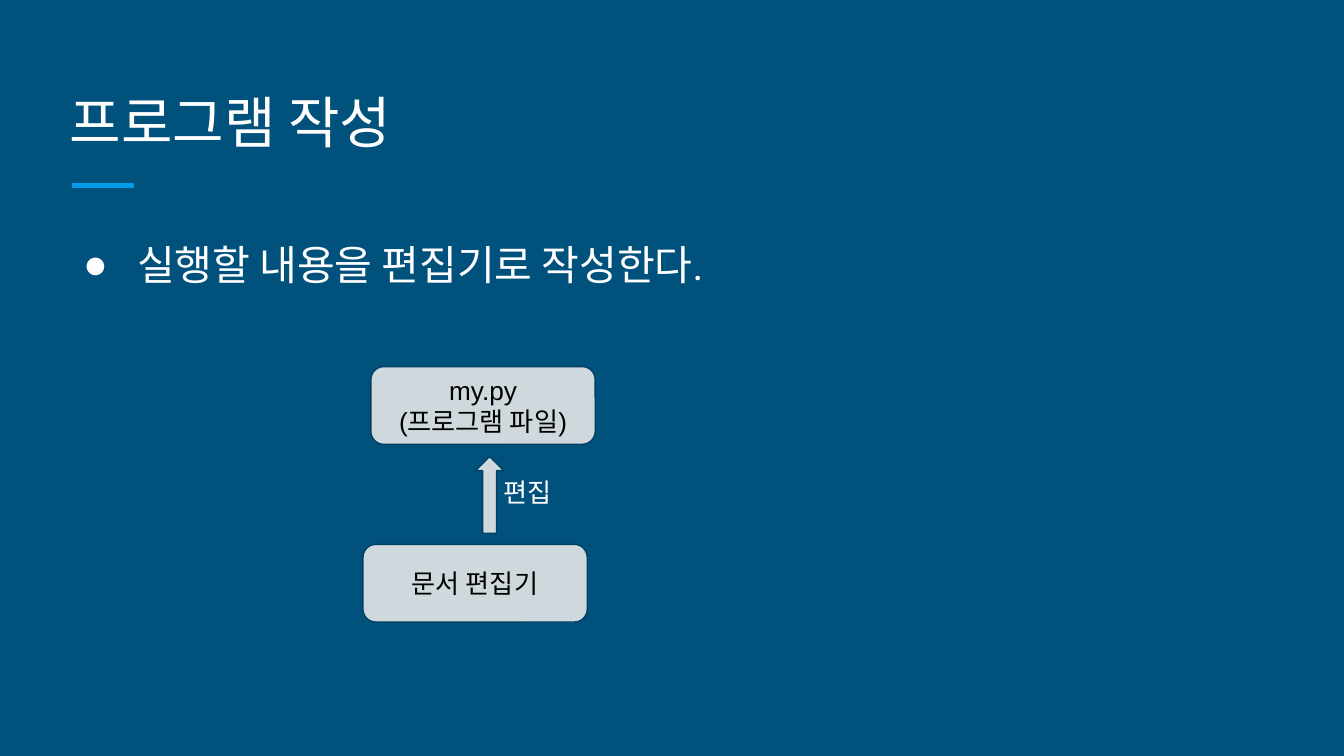
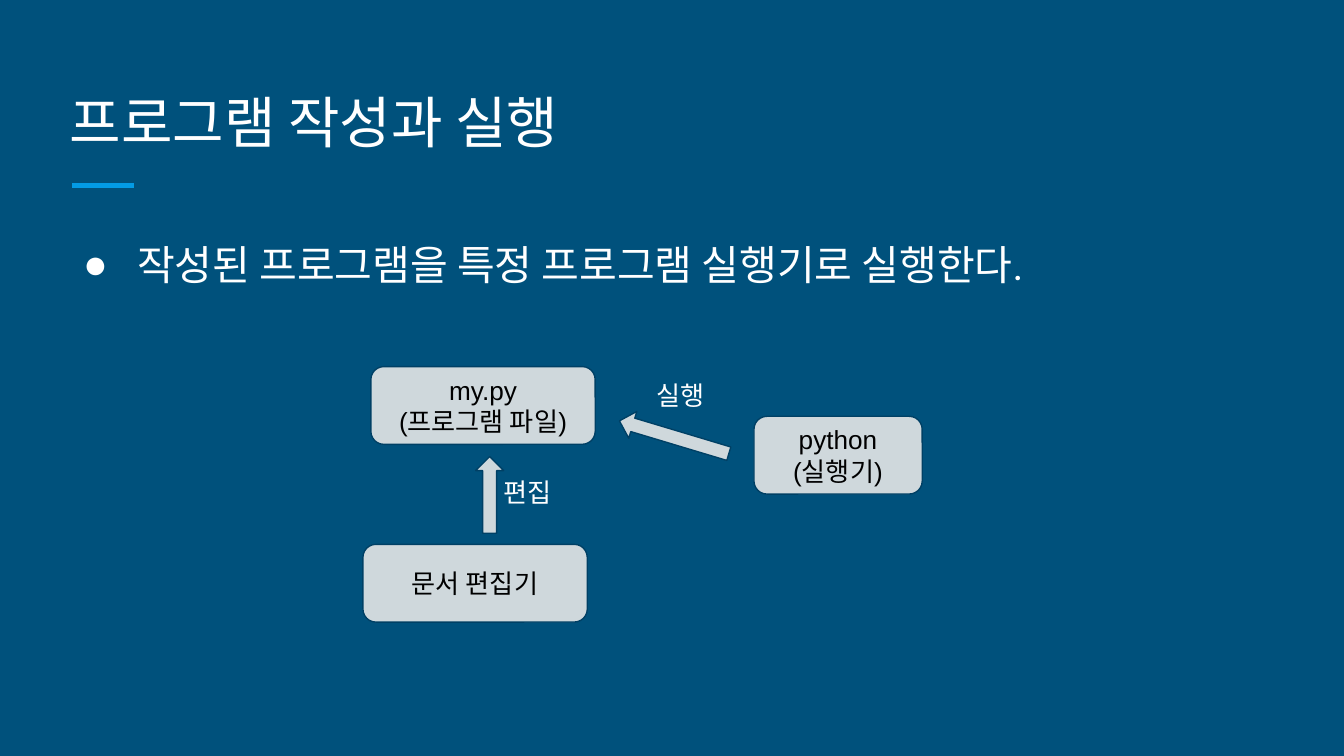
from lxml import etree
from pptx import Presentation
from pptx.dml.color import RGBColor
from pptx.enum.shapes import MSO_CONNECTOR, MSO_SHAPE
from pptx.enum.text import MSO_ANCHOR, MSO_AUTO_SIZE, PP_ALIGN
from pptx.oxml.ns import qn
from pptx.util import Cm, Pt

LINE = MSO_CONNECTOR.STRAIGHT
ROUND, ARROW = MSO_SHAPE.ROUNDED_RECTANGLE, MSO_SHAPE.RIGHT_ARROW
TOP, MIDDLE, BOTTOM = MSO_ANCHOR.TOP, MSO_ANCHOR.MIDDLE, MSO_ANCHOR.BOTTOM
LEFT, CENTER = PP_ALIGN.LEFT, PP_ALIGN.CENTER
FIXED = MSO_AUTO_SIZE.NONE

NAVY, BLUE, WHITE = "00517C", "039BE5", "FFFFFF"
GRAY, EDGE, BLACK = "CFD8DC", "004065", "000000"
HEAD, BODY, PLAIN = "Roboto Slab", "Roboto", "Arial"


def color(code):
    return RGBColor.from_string(code)


class Deck:
    def __init__(self):
        self.prs = Presentation()
        self.prs.slide_width, self.prs.slide_height = Cm(25.4), Cm(14.29)
        fill = self.prs.slide_master.background.fill
        fill.solid()
        fill.fore_color.rgb = color(NAVY)
        self.slide = None

    def words(self, shape, text, size, font, ink, anchor=TOP, align=CENTER):
        frame = shape.text_frame
        frame.text = text
        frame.word_wrap = True
        frame.auto_size = FIXED
        frame.vertical_anchor = anchor
        frame.margin_left = frame.margin_right = Cm(0.25)
        frame.margin_top = frame.margin_bottom = Cm(0.25)
        for para in frame.paragraphs:
            para.alignment = align
            para.font.size = Pt(size)
            para.font.name = font
            para.font.color.rgb = color(ink)
        return frame

    def place(self, shape, left, top, width, height):
        shape.left, shape.top = Cm(left), Cm(top)
        shape.width, shape.height = Cm(width), Cm(height)

    def page(self, title, point):
        """Start a slide with its title, accent line and bullet."""
        self.slide = self.prs.slides.add_slide(self.prs.slide_layouts[1])
        self.rule(1.37, 2.54, 3.51)
        head, body = self.slide.placeholders
        self.place(head, 1.07, 1.27, 23.24, 1.91)
        self.words(head, title, 30, HEAD, WHITE, BOTTOM, LEFT)
        self.place(body, 1.07, 4.14, 23.24, 8.56)
        frame = self.words(body, point, 22, BODY, WHITE, TOP, LEFT)
        for para in frame.paragraphs:
            para.line_spacing = 1.15
            para.space_before = Pt(0)
            self.bullet(para)

    def bullet(self, para):
        props = para._p.get_or_add_pPr()
        props.set("marL", str(Cm(1.27)))
        props.set("indent", str(Cm(-1.02)))
        tint = etree.Element(qn("a:buClr"))
        etree.SubElement(tint, qn("a:srgbClr"), val=WHITE)
        mark = etree.Element(qn("a:buChar"), char="●")
        # Bullet marks come before the paragraph's font
        font = props.find(qn("a:defRPr"))
        font.addprevious(tint)
        font.addprevious(mark)

    def rule(self, start, end, y):
        line = self.slide.shapes.add_connector(
            LINE, Cm(start), Cm(y), Cm(end), Cm(y))
        line.line.color.rgb = color(BLUE)
        line.line.width = Pt(3)
        etree.SubElement(line._element.spPr, qn("a:effectLst"))

    def shape(self, kind, left, top, width, height):
        item = self.slide.shapes.add_shape(
            kind, Cm(left), Cm(top), Cm(width), Cm(height))
        item.shadow.inherit = False
        item.fill.solid()
        item.fill.fore_color.rgb = color(GRAY)
        item.line.color.rgb = color(EDGE)
        item.line.width = Pt(0.75)
        return item

    def box(self, text, left, top, width=4.24):
        item = self.shape(ROUND, left, top, width, 1.47)
        self.words(item, text, 14, PLAIN, BLACK, MIDDLE)

    def arrow(self, left, top, width, turn):
        self.shape(ARROW, left, top, width, 0.53).rotation = turn

    def label(self, text, left, top):
        item = self.slide.shapes.add_textbox(
            Cm(left), Cm(top), Cm(1.96), Cm(1.17))
        self.words(item, text, 14, BODY, WHITE)

    def edit(self):
        """Draw the editor, the program file and the step between."""
        self.box("my.py\n(프로그램 파일)", 7.01, 6.93)
        self.box("문서 편집기", 6.86, 10.29)
        self.arrow(8.53, 9.09, 1.45, 270)
        self.label("편집", 8.99, 8.76)

    def launch(self):
        """Draw the interpreter and the step that runs the file."""
        self.box("python (실행기)", 14.25, 7.87, 3.18)
        self.label("실행", 11.89, 6.93)
        self.arrow(11.66, 8, 2.16, 196.7)


def main():
    deck = Deck()

    # Writing the program
    deck.page("프로그램 작성", "실행할 내용을 편집기로 작성한다.")
    deck.edit()

    # Writing and running it
    deck.page("프로그램 작성과 실행",
              "작성된 프로그램을 특정 프로그램 실행기로 실행한다.")
    deck.edit()
    deck.launch()

    deck.prs.save("out.pptx")


if __name__ == "__main__":
    main()
